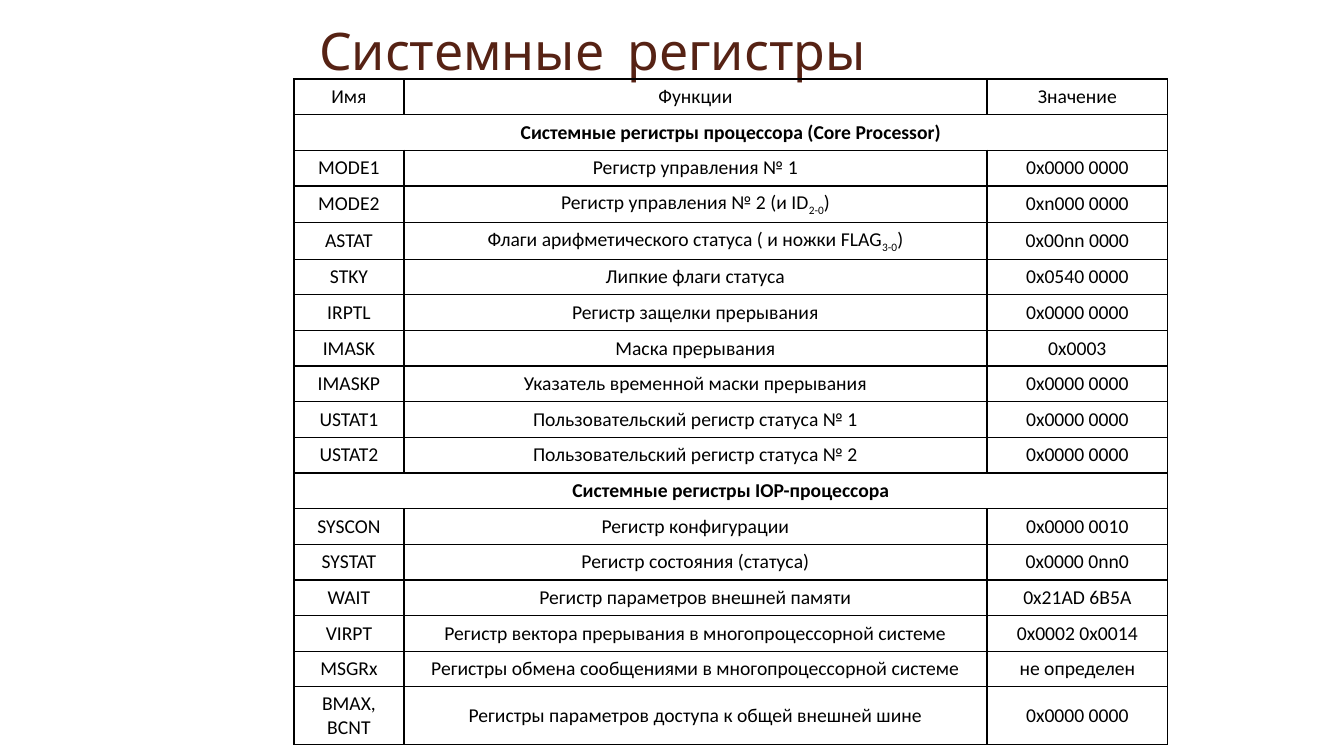
"""Build a slide with a table of system registers."""
from pptx import Presentation
from pptx.dml.color import RGBColor
from pptx.enum.text import MSO_ANCHOR as Anchor, MSO_AUTO_SIZE as AutoSize, PP_ALIGN as Align
from pptx.oxml import parse_xml
from pptx.oxml.ns import nsdecls
from pptx.util import Emu, Pt

TITLE = "Системные  регистры"
HEADER = ("Имя", "Функции", "Значение")
SECTIONS = {
    "Системные регистры процессора (Core Processor)": [
        ("MODE1", "Регистр управления № 1", "0x0000 0000"),
        ("MODE2", "Регистр управления № 2 (и ID_2-0_)", "0xn000 0000"),
        ("ASTAT", "Флаги арифметического статуса ( и ножки FLAG_3-0_)", "0x00nn 0000"),
        ("STKY", "Липкие флаги статуса", "0x0540 0000"),
        ("IRPTL", "Регистр защелки прерывания", "0x0000 0000"),
        ("IMASK", "Маска прерывания", "0x0003"),
        ("IMASKP", "Указатель временной маски прерывания", "0x0000 0000"),
        ("USTAT1", "Пользовательский регистр статуса № 1", "0x0000 0000"),
        ("USTAT2", "Пользовательский регистр статуса № 2", "0x0000 0000"),
    ],
    "Системные регистры IOP-процессора": [
        ("SYSCON", "Регистр конфигурации", "0x0000 0010"),
        ("SYSTAT", "Регистр состояния (статуса)", "0x0000 0nn0"),
        ("WAIT", "Регистр параметров внешней памяти", "0x21AD 6B5A"),
        ("VIRPT", "Регистр вектора прерывания в многопроцессорной системе", "0x0002 0x0014"),
        ("MSGRx", "Регистры обмена сообщениями в многопроцессорной системе", "не определен"),
        ("BMAX, BCNT", "Регистры параметров доступа к общей внешней шине", "0x0000 0000"),
    ],
}

THEME = {
    "title": {"name": "Cabin", "size": Pt(37), "color": "562214"},
    "cell": {"name": "Calibri", "size": Pt(14), "color": "000000"},
    "border": {"width": Pt(1), "color": "000000"},
}
SLIDE_SIZE = (1344, 756)
TITLE_BOX = (309, 0, 866, 87)
TABLE_ORIGIN = (294, 79)
COLUMN_WIDTHS = (110, 583, 181)
TABLE_HEIGHT = 642


def px(length):
    """Convert pixels to EMU."""
    return Emu(round(length * 914400 / 100.8))


def apply(target, values):
    """Set every attribute named in the dict."""
    for name, value in values.items():
        setattr(target, name, value)


def add_run(paragraph, text, style, bold=False):
    """Add one styled run."""
    run = paragraph.add_run()
    run.text = text
    apply(run.font, {"name": style["name"], "size": style["size"], "bold": bold})
    run.font.color.rgb = RGBColor.from_string(style["color"])
    return run


def fill_cell(cell, text, bold):
    """Write centred text, with underscores enclosing a subscript."""
    cell.vertical_anchor = Anchor.MIDDLE
    paragraph = cell.text_frame.paragraphs[0]
    paragraph.alignment = Align.CENTER
    for index, part in enumerate(text.split("_")):
        run = add_run(paragraph, part, THEME["cell"], bold)
        if index % 2:
            run._r.get_or_add_rPr().set("baseline", "-25000")


def frame_cell(cell):
    """Draw the four borders of a cell and clear its fill."""
    border = THEME["border"]
    properties = cell._tc.get_or_add_tcPr()
    for side in ("lnL", "lnR", "lnT", "lnB"):
        properties.append(parse_xml(
            f'<a:{side} {nsdecls("a")} w="{border["width"]}"><a:solidFill>'
            f'<a:srgbClr val="{border["color"]}"/></a:solidFill></a:{side}>'))
    cell.fill.background()


def add_title(slide):
    """Place and format the title placeholder."""
    title = slide.shapes.title
    apply(title, dict(zip(("left", "top", "width", "height"), map(px, TITLE_BOX))))
    apply(title.text_frame, {"vertical_anchor": Anchor.BOTTOM, "word_wrap": True,
                             "auto_size": AutoSize.NONE})
    paragraph = title.text_frame.paragraphs[0]
    apply(paragraph, {"alignment": Align.LEFT, "line_spacing": 0.9})
    add_run(paragraph, TITLE, THEME["title"])


def add_register_table(slide):
    """Add the table, one merged row before each section."""
    rows = [HEADER]
    for heading, registers in SECTIONS.items():
        rows += [(heading,), *registers]
    table = slide.shapes.add_table(
        len(rows), len(HEADER), *map(px, TABLE_ORIGIN),
        px(sum(COLUMN_WIDTHS)), px(TABLE_HEIGHT)).table
    apply(table, {"first_row": False, "horz_banding": False})
    for column, width in zip(table.columns, COLUMN_WIDTHS):
        column.width = px(width)
    for index, texts in enumerate(rows):
        cells = list(table.rows[index].cells)
        is_heading = len(texts) == 1
        if is_heading:
            cells[0].merge(cells[-1])
        for cell in cells:
            frame_cell(cell)
        for cell, text in zip(cells, texts):
            fill_cell(cell, text, is_heading)


presentation = Presentation()
apply(presentation, dict(zip(("slide_width", "slide_height"), map(px, SLIDE_SIZE))))
slide = presentation.slides.add_slide(presentation.slide_layouts[5])
add_title(slide)
add_register_table(slide)
presentation.save("out.pptx")
